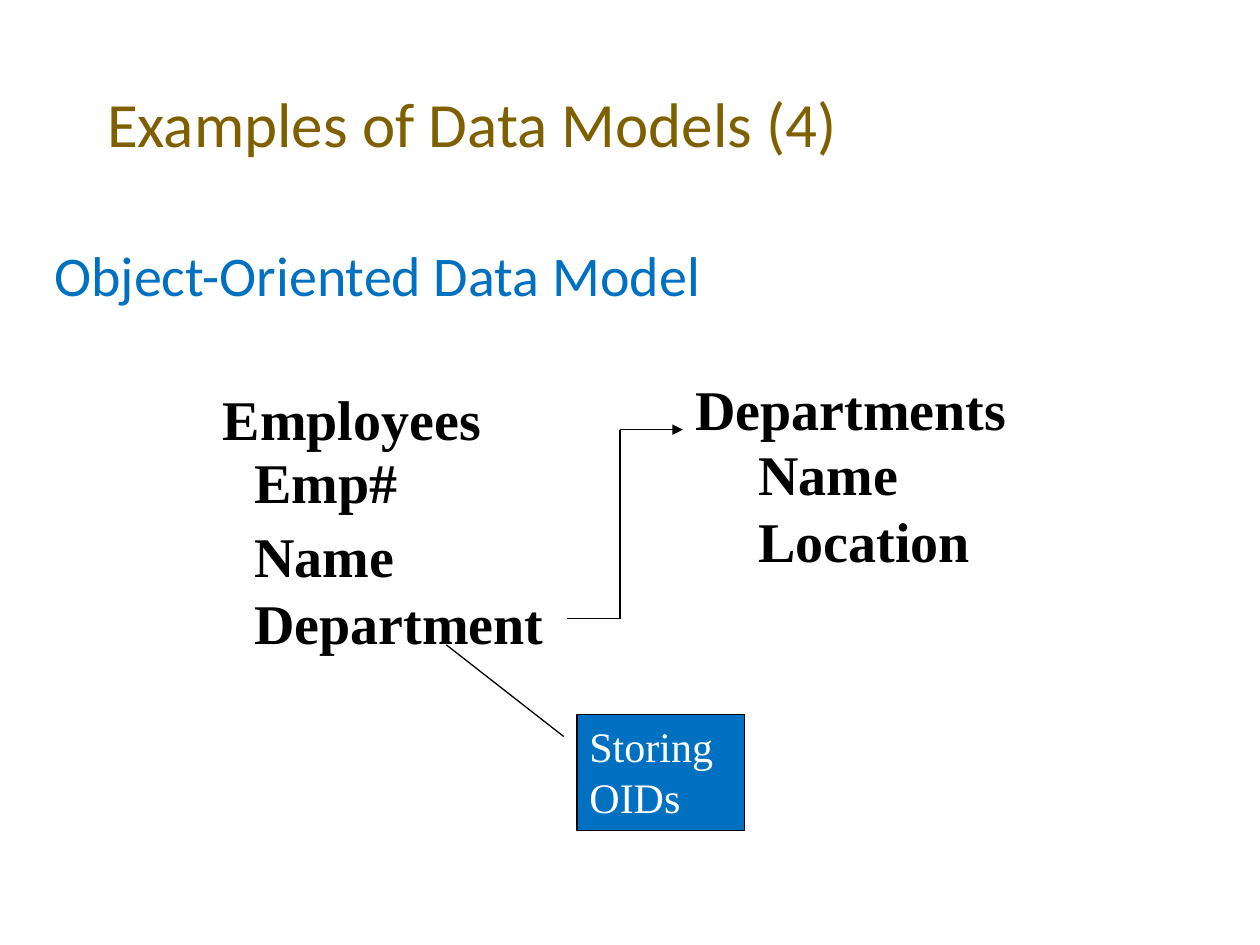
from lxml.etree import SubElement
from pptx import Presentation
from pptx.dml.color import RGBColor
from pptx.enum.shapes import MSO_CONNECTOR, MSO_SHAPE
from pptx.enum.text import MSO_ANCHOR, MSO_AUTO_SIZE, PP_ALIGN
from pptx.oxml.ns import qn
from pptx.util import Inches, Pt

BROWN = RGBColor(0x7F, 0x60, 0x00)
BLUE = RGBColor(0x00, 0x70, 0xC0)
BLACK = RGBColor(0x00, 0x00, 0x00)
WHITE = RGBColor(0xFF, 0xFF, 0xFF)
SERIF = "Times New Roman"


def place(shape, left, top, width, height):
    shape.left, shape.top = Inches(left), Inches(top)
    shape.width, shape.height = Inches(width), Inches(height)


def write(shape, text, size, font, color, bold=False):
    shape.text_frame.text = text
    for para in shape.text_frame.paragraphs:
        para.alignment = PP_ALIGN.LEFT
        for span in para.runs:
            span.font.size = Pt(size)
            span.font.name = font
            span.font.bold = bold
            span.font.color.rgb = color


deck = Presentation()
deck.slide_width, deck.slide_height = Inches(10), Inches(7.5)
page = deck.slides.add_slide(deck.slide_layouts[1])

title = page.shapes.title
place(title, 0.75, 0.42, 8.5, 1.17)
write(title, "Examples of Data Models (4)", 36, "Calibri", BROWN)
title.text_frame.vertical_anchor = MSO_ANCHOR.MIDDLE
title.text_frame.auto_size = MSO_AUTO_SIZE.NONE
title.text_frame.paragraphs[0].line_spacing = 0.9

body = page.placeholders[1]
place(body, 0.33, 1.92, 9.33, 5.25)
write(body, "Object-Oriented Data Model", 32, "Calibri", BLUE)
body.text_frame.auto_size = MSO_AUTO_SIZE.NONE
heading = body.text_frame.paragraphs[0]
heading.line_spacing = 0.9
heading.space_before = Pt(7.5)
properties = heading._p.get_or_add_pPr()
properties.set("marL", str(Inches(0.19)))
properties.set("indent", str(-Inches(0.19)))
SubElement(properties, qn("a:buNone"))

class_texts = [
    ("Employees", 1.67, 3, 2.25, 0.64),
    ("Departments", 5.42, 2.92, 2.67, 0.64),
    ("Emp#\nName\nDepartment", 1.92, 3.5, 2.5, 1.76),
    ("Name\nLocation", 5.92, 3.44, 1.88, 1.17),
]
for text, *bounds in class_texts:
    box = page.shapes.add_textbox(*map(Inches, bounds))
    box.text_frame.word_wrap = text == "Departments"
    box.text_frame.auto_size = MSO_AUTO_SIZE.SHAPE_TO_FIT_TEXT
    write(box, text, 32, SERIF, BLACK, bold=True)
    if text.startswith("Emp#"):
        box.text_frame.paragraphs[1].line_spacing = 1.1

reference_route = [(4.5, 4.91), (4.92, 4.91), (4.92, 3.41), (5.42, 3.41)]
for start, end in zip(reference_route, reference_route[1:]):
    connector = page.shapes.add_connector(
        MSO_CONNECTOR.STRAIGHT, *map(Inches, start + end)
    )
    connector.line.color.rgb = BLACK
    connector.line.width = Pt(0.75)
    SubElement(connector._element.spPr, qn("a:effectLst"))
SubElement(connector.line._get_or_add_ln(), qn("a:tailEnd"), type="triangle")

callout = page.shapes.add_shape(
    MSO_SHAPE.LINE_CALLOUT_1, Inches(4.58), Inches(5.67), Inches(1.33), Inches(0.92)
)
for index, value in enumerate([0.19, -0.08, -0.6, -0.78]):
    callout.adjustments[index] = value
callout.shadow.inherit = False
callout.fill.solid()
callout.fill.fore_color.rgb = BLUE
callout.line.color.rgb = BLACK
callout.line.width = Pt(0.75)
callout.text_frame.word_wrap = True
callout.text_frame.vertical_anchor = MSO_ANCHOR.TOP
write(callout, "Storing OIDs", 24, SERIF, WHITE)

deck.save("out.pptx")
